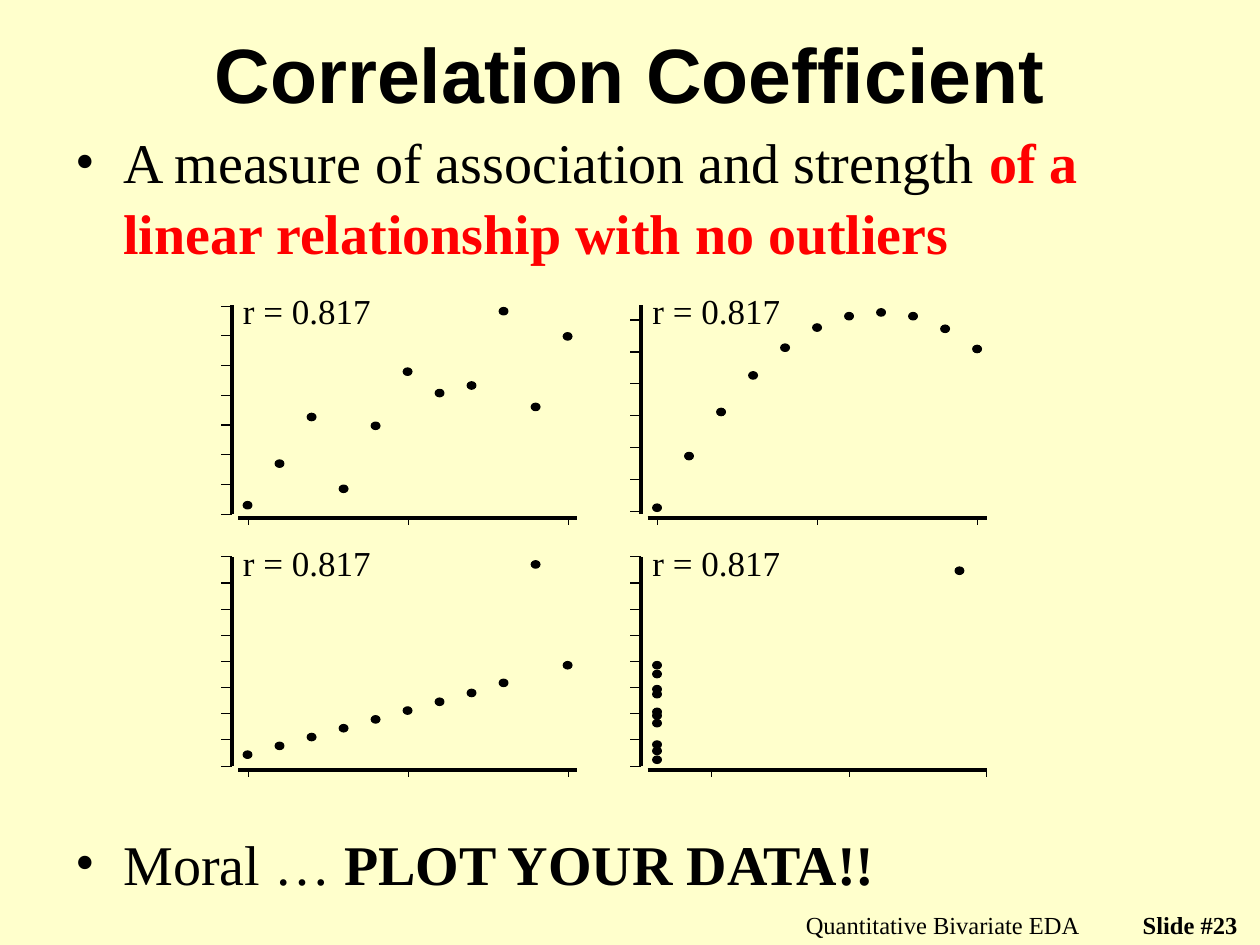
from dataclasses import dataclass

from lxml import etree
from pptx import Presentation
from pptx.dml.color import RGBColor
from pptx.enum import shapes, text
from pptx.oxml import ns
from pptx.util import Inches, Pt

INK = "000000"
RED = "FF0000"
PAPER = "FFFFCC"
SERIF = "Times New Roman"
DOT_WIDTH, DOT_HEIGHT = 0.07, 0.06
PANEL_HEIGHT = 1.69


@dataclass
class Span:
    words: str
    size: float
    font: str = SERIF
    bold: bool = False
    color: str = INK


@dataclass
class Panel:
    """A scatter plot: corner, axis ticks and the corners of its dots."""
    left: float
    top: float
    x_ticks: list[float]
    y_ticks: list[float]
    dots: list[tuple[float, float]]


def rgb(value: str) -> RGBColor:
    return RGBColor.from_string(value)


def steps(first: float, last: float, count: int) -> list[float]:
    return [first + i * (last - first) / (count - 1) for i in range(count)]


def add_spans(para, spans: list[Span]) -> None:
    for item in spans:
        span = para.add_run()
        span.text = item.words
        font = span.font
        font.name, font.size, font.bold = item.font, Pt(item.size), item.bold
        font.color.rgb = rgb(item.color)


def add_box(page, left: float, top: float, width: float, height: float):
    box = page.shapes.add_textbox(*map(Inches, (left, top, width, height)))
    box.text_frame.word_wrap = True
    return box.text_frame


def add_label(page, place: tuple[float, float, float, float], span: Span,
              align=text.PP_ALIGN.LEFT, anchor=text.MSO_ANCHOR.TOP) -> None:
    frame = add_box(page, *place)
    frame.vertical_anchor = anchor
    para = frame.paragraphs[0]
    para.alignment = align
    add_spans(para, [span])


def add_bullet(para) -> None:
    props = para._p.get_or_add_pPr()
    props.set("marL", str(Inches(0.38)))
    props.set("indent", str(-Inches(0.38)))
    etree.SubElement(props, ns.qn("a:buFont")).set("typeface", SERIF)
    etree.SubElement(props, ns.qn("a:buChar")).set("char", "•")


def add_line(group, x1: float, y1: float, x2: float, y2: float,
             weight: float = 0.63) -> None:
    line = group.shapes.add_connector(
        shapes.MSO_CONNECTOR.STRAIGHT, *map(Inches, (x1, y1, x2, y2)))
    line.line.color.rgb = rgb(INK)
    line.line.width = Pt(weight)
    etree.SubElement(line._element.spPr, ns.qn("a:effectLst"))


def add_dot(group, left: float, top: float) -> None:
    dot = group.shapes.add_shape(
        shapes.MSO_SHAPE.OVAL,
        *map(Inches, (left, top, DOT_WIDTH, DOT_HEIGHT)))
    dot.shadow.inherit = False
    dot.fill.solid()
    dot.fill.fore_color.rgb = rgb(INK)
    dot.line.color.rgb = rgb(INK)
    dot.line.width = Pt(0.63)


def add_panel(page, panel: Panel) -> None:
    group = page.shapes.add_group_shape()
    axis_x = panel.left + 0.09
    axis_y = panel.top + PANEL_HEIGHT
    for x in panel.x_ticks:
        add_line(group, x, axis_y, x, axis_y + 0.06)
    for y in panel.y_ticks:
        add_line(group, axis_x, y, panel.left, y)
    add_line(group, panel.left + 0.14, axis_y, panel.left + 2.83, axis_y, 2.25)
    add_line(group, axis_x, axis_y - 0.03, axis_x, panel.top, 2.25)
    for left, top in panel.dots:
        add_dot(group, left, top)


def even_dots(left: float, tops: list[float]) -> list[tuple[float, float]]:
    return list(zip(steps(left + 0.18, left + 2.72, len(tops)), tops))


def build_panels() -> list[Panel]:
    west, east, north, south = 1.75, 5, 2.42, 4.42
    scattered = [3.98, 3.65, 3.28, 3.85, 3.35, 2.92, 3.09, 3.03, 2.44, 3.2, 2.64]
    curved = [4, 3.59, 3.24, 2.95, 2.73, 2.57, 2.48, 2.45, 2.48, 2.58, 2.74]
    straight = [5.96, 5.89, 5.82, 5.75, 5.68, 5.61, 5.54, 5.47, 5.39, 4.45, 5.25]
    stacked = [5.25, 5.32, 5.44, 5.48, 5.62, 5.65, 5.71, 5.88, 5.93, 6]
    west_ticks = steps(1.97, 4.51, 3)
    low_ticks = steps(4.42, 6.08, 9)
    return [
        Panel(west, north, west_ticks, steps(2.43, 4.08, 8),
              even_dots(west, scattered)),
        Panel(east, north, steps(5.22, 7.76, 3), steps(2.54, 4.06, 7),
              even_dots(east, curved)),
        Panel(west, south, west_ticks, low_ticks, even_dots(west, straight)),
        Panel(east, south, steps(5.65, 7.83, 3), low_ticks,
              [(5.18, top) for top in stacked] + [(7.58, 4.5)]),
    ]


def main() -> None:
    deck = Presentation()
    deck.slide_width, deck.slide_height = Inches(10), Inches(7.5)
    page = deck.slides.add_slide(deck.slide_layouts[6])
    page.background.fill.solid()
    page.background.fill.fore_color.rgb = rgb(PAPER)

    # Footer
    right = text.PP_ALIGN.RIGHT
    add_label(page, (5.5, 7.17, 3.17, 0.25),
              Span("Quantitative Bivariate EDA", 14), right)
    add_label(page, (8.67, 7.17, 1.25, 0.25),
              Span("Slide #23", 14, bold=True), right)

    # Bullets, with room for the plots between them
    body = add_box(page, 0.5, 0.94, 8.92, 6.23)
    points = [
        [Span("A measure of association and strength ", 32),
         Span("of a linear relationship with no outliers", 32,
              bold=True, color=RED)],
        [Span("Moral … ", 32), Span("PLOT YOUR DATA!!", 32, bold=True)],
    ]
    for para, spans in zip((body.paragraphs[0], body.add_paragraph()), points):
        add_bullet(para)
        para.line_spacing = 1.05
        add_spans(para, spans)
    body.paragraphs[1].space_before = Pt(320)

    # Title
    add_label(page, (0.75, 0.08, 8.5, 1),
              Span("Correlation Coefficient", 44, "Arial", True),
              text.PP_ALIGN.CENTER, text.MSO_ANCHOR.MIDDLE)

    # Scatter plots and their coefficients
    panels = build_panels()
    for panel in panels:
        add_panel(page, panel)
    for panel in panels:
        add_label(page, (panel.left + 0.08, panel.top - 0.17, 1.42, 0.46),
                  Span("r = 0.817", 20))

    deck.save("out.pptx")


if __name__ == "__main__":
    main()
